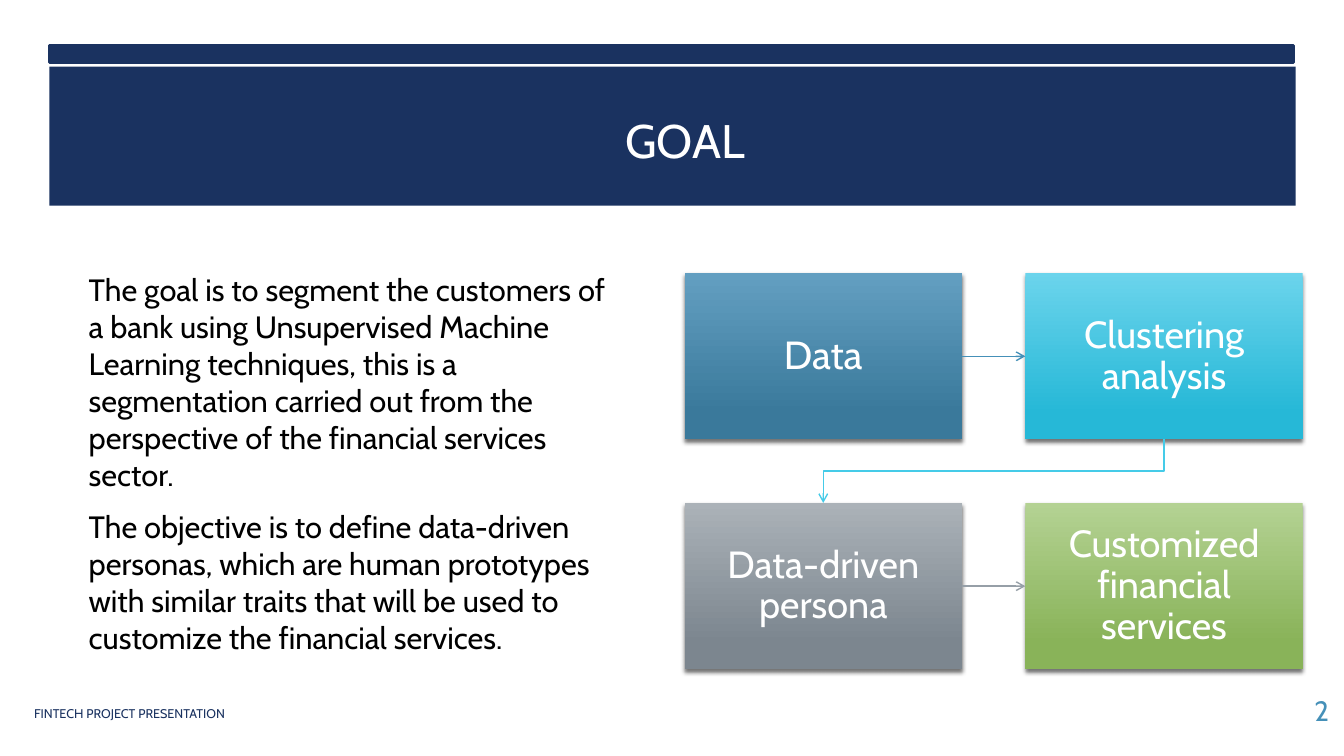
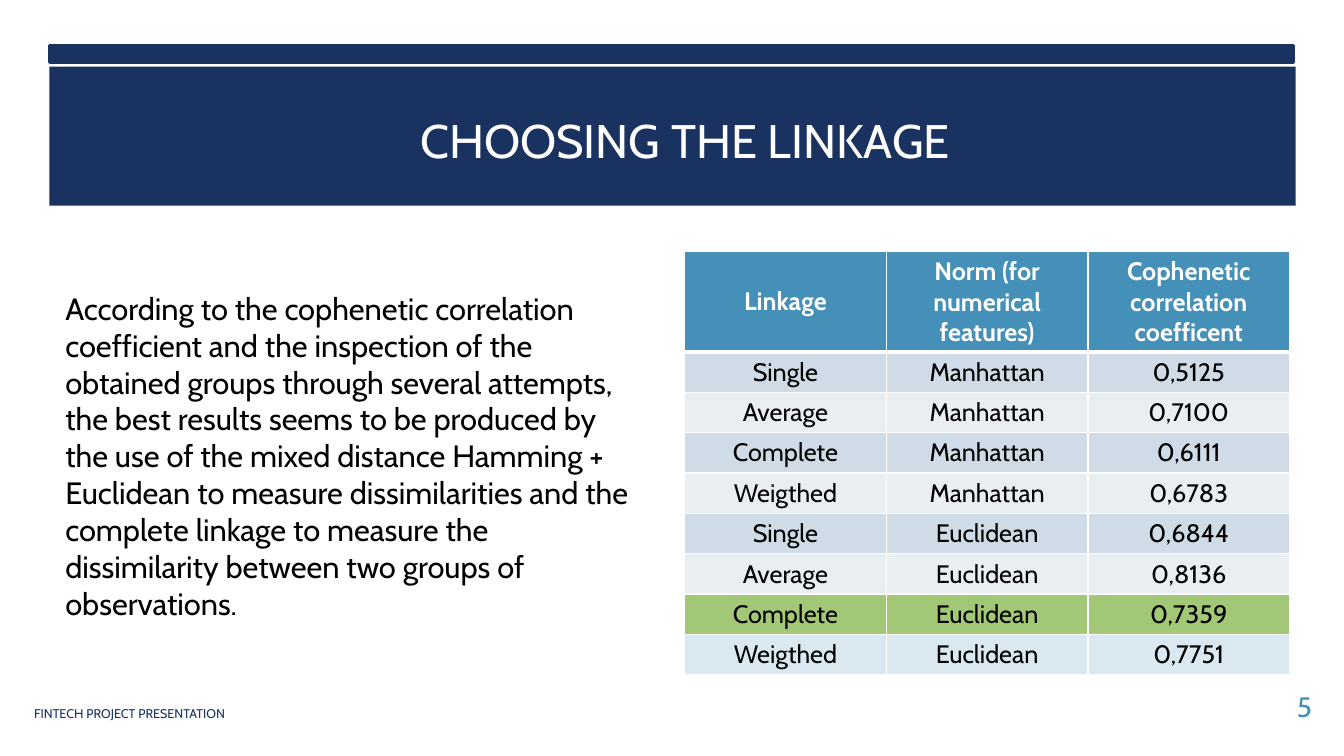
from lxml import etree
from pptx import Presentation
from pptx.dml.color import RGBColor
from pptx.enum.shapes import MSO_CONNECTOR, MSO_SHAPE
from pptx.enum.text import MSO_ANCHOR, PP_ALIGN
from pptx.oxml.ns import qn
from pptx.util import Inches, Pt

FONT = "Cabin"
COLORS = {
    "navy": "1A3260", "blue": "4590B8", "cyan": "45CBE8", "grey": "969FA7",
    "white": "FFFFFF", "black": "000000",
    "row_dark": "CFDBE6", "row_light": "E9EEF3",
    "row_best": "A2C777", "row_last": "DAE9F1",
}
GRADIENTS = {
    "blue": ("639FC1", "3A799B"), "cyan": ("6BD4EC", "26B8D7"),
    "grey": ("ABB2B8", "7C868F"), "green": ("B4D293", "89B359"),
}
FOOTER = "FINTECH PROJECT PRESENTATION"
LINKAGE_ROWS = [
    ("Linkage", "Norm (for numerical features)", "Cophenetic correlation coefficent"),
    ("Single", "Manhattan", "0,5125"),
    ("Average", "Manhattan", "0,7100"),
    ("Complete", "Manhattan", "0,6111"),
    ("Weigthed", "Manhattan", "0,6783"),
    ("Single", "Euclidean", "0,6844"),
    ("Average", "Euclidean", "0,8136"),
    ("Complete", "Euclidean", "0,7359"),
    ("Weigthed", "Euclidean", "0,7751"),
]


def rgb(name):
    return RGBColor.from_string(COLORS[name])


def write(text_frame, texts, size, color, align=PP_ALIGN.LEFT, bold=False):
    """Fill a text frame with one formatted paragraph per text."""
    text_frame.text = "\n".join(texts)
    text_frame.word_wrap = True
    for paragraph in text_frame.paragraphs:
        paragraph.alignment = align
        for run in paragraph.runs:
            run.font.name = FONT
            run.font.size = Pt(size)
            run.font.bold = bold
            run.font.color.rgb = rgb(color)


def add_text(slide, box, texts, size, color, align=PP_ALIGN.LEFT,
             anchor=MSO_ANCHOR.MIDDLE):
    text_frame = slide.shapes.add_textbox(*map(Inches, box)).text_frame
    write(text_frame, texts, size, color, align)
    text_frame.vertical_anchor = anchor
    return text_frame


def add_band(slide, box):
    band = slide.shapes.add_shape(MSO_SHAPE.RECTANGLE, *map(Inches, box))
    band.shadow.inherit = False
    band.fill.solid()
    band.fill.fore_color.rgb = rgb("navy")
    band.line.fill.background()
    return band


def add_frame(presentation, title, number, number_position):
    """Blank slide with the title bands, footer and page number."""
    slide = presentation.slides.add_slide(presentation.slide_layouts[6])
    add_band(slide, (0.49, 0.66, 12.36, 1.38))
    top_band = add_band(slide, (0.49, 0.45, 12.34, 0.17))
    top_band.line.color.rgb = rgb("navy")
    top_band.line.width = Pt(1.75)
    add_text(slide, (3.51, 0.59, 6.57, 1.59), [title], 33.6, "white", PP_ALIGN.CENTER)
    add_text(slide, (*number_position, 1.37, 0.63), [number], 20, "blue", PP_ALIGN.RIGHT)
    add_text(slide, (0.24, 6.91, 5.67, 0.33), [FOOTER], 9, "navy")
    return slide


def add_body(slide, box, texts, anchor):
    text_frame = add_text(slide, box, texts, 22, "black", anchor=anchor)
    for paragraph in text_frame.paragraphs:
        paragraph.space_before = Pt(4.4)
        paragraph.space_after = Pt(6)
    return text_frame


def add_step(slide, box, text, size, gradient):
    """Flow step with a vertical gradient and a soft shadow."""
    step = slide.shapes.add_shape(MSO_SHAPE.RECTANGLE, *map(Inches, box))
    step.line.fill.background()
    step.fill.gradient()
    step.fill.gradient_angle = 270
    for stop, position, color in zip(step.fill.gradient_stops, (0, 0.84), GRADIENTS[gradient]):
        stop.position = position
        stop.color.rgb = RGBColor.from_string(color)
    step.shadow.inherit = False
    effects = step._element.spPr.find(qn("a:effectLst"))
    shadow = etree.SubElement(effects, qn("a:outerShdw"), blurRad=str(Pt(3)),
                              dist=str(Pt(2)), dir="5400000", rotWithShape="0")
    color = etree.SubElement(shadow, qn("a:srgbClr"), val=COLORS["black"])
    etree.SubElement(color, qn("a:alpha"), val="55000")

    text_frame = step.text_frame
    write(text_frame, [text], size, "white", PP_ALIGN.CENTER)
    text_frame.vertical_anchor = MSO_ANCHOR.MIDDLE
    text_frame.margin_left = text_frame.margin_right = Inches(0.21)
    text_frame.margin_top = text_frame.margin_bottom = Inches(0.21)
    text_frame.paragraphs[0].line_spacing = 0.9
    return step


def add_arrow(slide, kind, start, start_site, end, end_site, color):
    arrow = slide.shapes.add_connector(kind, 0, 0, 0, 0)
    arrow.begin_connect(start, start_site)
    arrow.end_connect(end, end_site)
    arrow.line.color.rgb = rgb(color)
    arrow.line.width = Pt(1)
    etree.SubElement(arrow.line._get_or_add_ln(), qn("a:tailEnd"), type="arrow")
    etree.SubElement(arrow._element.spPr, qn("a:effectLst"))
    return arrow


def turn_downwards(elbow):
    """Turn an elbow a quarter so that it runs down, left and down."""
    left, top, width, height = elbow.left, elbow.top, elbow.width, elbow.height
    transform = elbow._element.spPr.find(qn("a:xfrm"))
    for flip in ("flipH", "flipV"):
        transform.attrib.pop(flip, None)
    transform.set("rot", "5400000")
    elbow.left = left + (width - height) // 2
    elbow.top = top + (height - width) // 2
    elbow.width, elbow.height = height, width


def add_flow(slide, left, top):
    """Two by two steps, read row by row."""
    width, height, column_pitch, row_pitch = 2.75, 1.65, 3.38, 2.28
    steps = [
        ("Data", 28, "blue"), ("Clustering analysis", 27, "cyan"),
        ("Data-driven persona", 27, "grey"), ("Customized financial services", 27, "green"),
    ]
    data, clustering, persona, services = [
        add_step(slide, (left + index % 2 * column_pitch,
                         top + index // 2 * row_pitch, width, height), *step)
        for index, step in enumerate(steps)
    ]
    # Connection sites: 0 top, 1 left, 2 bottom, 3 right
    add_arrow(slide, MSO_CONNECTOR.STRAIGHT, data, 3, clustering, 1, "blue")
    turn_downwards(add_arrow(slide, MSO_CONNECTOR.ELBOW, clustering, 2, persona, 0, "cyan"))
    add_arrow(slide, MSO_CONNECTOR.STRAIGHT, persona, 3, services, 1, "grey")


def set_borders(cell, bottom_width):
    properties = cell._tc.get_or_add_tcPr()
    widths = {"a:lnL": 1, "a:lnR": 1, "a:lnT": 1, "a:lnB": bottom_width}
    for index, (tag, width) in enumerate(widths.items()):
        line = etree.Element(qn(tag), w=str(Pt(width)))
        fill = etree.SubElement(line, qn("a:solidFill"))
        etree.SubElement(fill, qn("a:srgbClr"), val=COLORS["white"])
        properties.insert(index, line)


def add_linkage_table(slide, left, top):
    column_width, header_height, row_height = 2, 1, 0.4
    row_count, column_count = len(LINKAGE_ROWS), len(LINKAGE_ROWS[0])
    table = slide.shapes.add_table(
        row_count, column_count, Inches(left), Inches(top),
        Inches(column_count * column_width),
        Inches(header_height + (row_count - 1) * row_height)).table
    fills = ["blue"] + ["row_dark", "row_light"] * 3 + ["row_best", "row_last"]
    for row_index, (texts, fill) in enumerate(zip(LINKAGE_ROWS, fills)):
        header = row_index == 0
        table.rows[row_index].height = Inches(header_height if header else row_height)
        for column_index, text in enumerate(texts):
            cell = table.cell(row_index, column_index)
            write(cell.text_frame, [text], 18, "white" if header else "black",
                  PP_ALIGN.CENTER, header)
            cell.vertical_anchor = MSO_ANCHOR.MIDDLE
            cell.fill.solid()
            cell.fill.fore_color.rgb = rgb(fill)
            set_borders(cell, 3 if header else 1)


def build_goal(presentation):
    slide = add_frame(presentation, "GOAL", "2", (11.91, 6.73))
    body = add_body(slide, (0.76, 2.63, 5.49, 4.09), [
        "The goal is to segment the customers of a bank using Unsupervised Machine "
        "Learning techniques, this is a segmentation carried out from the perspective "
        "of the financial services sector.",
        "The objective is to define data-driven personas, which are human prototypes "
        "with similar traits that will be used to customize the financial services.",
    ], MSO_ANCHOR.TOP)
    body.margin_left = body.margin_right = Inches(0.12)
    body.margin_top = body.margin_bottom = Inches(0.06)
    add_flow(slide, 6.79, 2.71)


def build_linkage(presentation):
    slide = add_frame(presentation, "CHOOSING THE LINKAGE", "5", (11.74, 6.69))
    add_body(slide, (0.55, 2.31, 5.93, 4.42), [
        "According to the cophenetic correlation coefficient and the inspection of the "
        "obtained groups through several attempts, the best results seems to be produced "
        "by the use of the mixed distance Hamming + Euclidean to measure dissimilarities "
        "and the complete linkage to measure the dissimilarity between two groups of "
        "observations.",
    ], MSO_ANCHOR.MIDDLE)
    add_linkage_table(slide, 6.79, 2.49)


def main():
    presentation = Presentation()
    presentation.slide_width = Inches(13.33)
    presentation.slide_height = Inches(7.5)
    build_goal(presentation)
    build_linkage(presentation)
    presentation.save("out.pptx")


if __name__ == "__main__":
    main()
